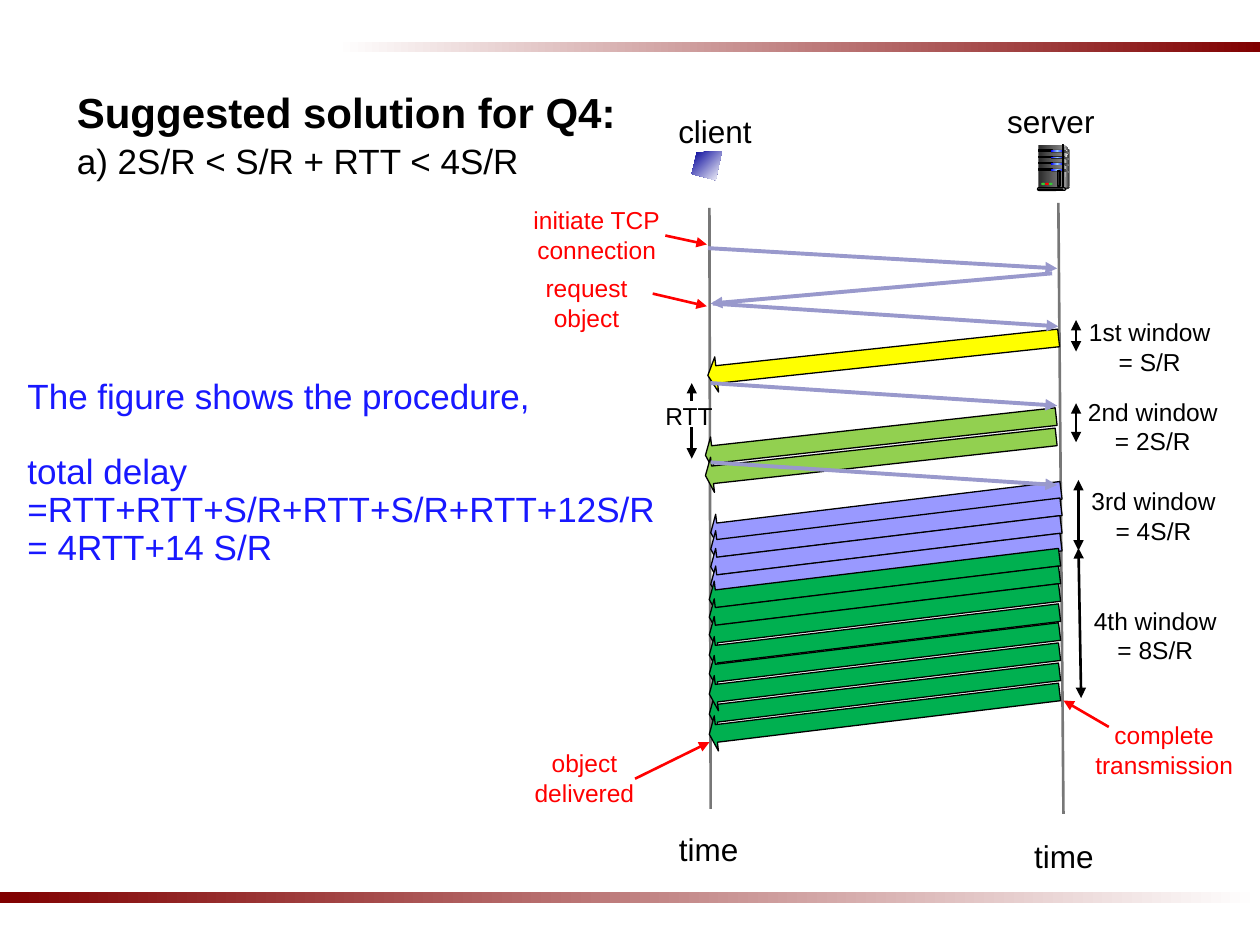
from copy import deepcopy

from lxml.etree import SubElement
from pptx import Presentation
from pptx.dml.color import RGBColor
from pptx.enum.shapes import MSO_CONNECTOR, MSO_SHAPE
from pptx.enum.text import MSO_ANCHOR, MSO_AUTO_SIZE, PP_ALIGN
from pptx.oxml.ns import qn
from pptx.util import Pt

BLACK, RED, LAVENDER = "000000", "FF0000", "9999CC"
STEEL = ["292929", "808080"]
RECT, ROUND, OVAL = MSO_SHAPE.RECTANGLE, MSO_SHAPE.ROUNDED_RECTANGLE, MSO_SHAPE.OVAL


def rgb(value):
    return RGBColor.from_string(value)


def paint(sp, fill, line=None, angle=0):
    """Fill with one hex colour, or with a gradient over a list of them."""
    sp.shadow.inherit = False
    if isinstance(fill, str):
        sp.fill.solid()
        sp.fill.fore_color.rgb = rgb(fill)
    else:
        sp.fill.gradient()
        stops = sp._element.spPr.find(qn("a:gradFill")).find(qn("a:gsLst"))
        while len(stops) < len(fill):
            stops.append(deepcopy(stops[0]))
        for i, (stop, color) in enumerate(zip(sp.fill.gradient_stops, fill)):
            stop.position = i / (len(fill) - 1)
            stop.color.rgb = rgb(color)
        sp.fill.gradient_angle = angle
    if line:
        sp.line.color.rgb = rgb(line)
        sp.line.width = Pt(0.75)
    else:
        sp.line.fill.background()


def shape(s, kind, x, y, w, h, fill, line=None):
    sp = s.shapes.add_shape(kind, Pt(x), Pt(y), Pt(w), Pt(h))
    paint(sp, fill, line)
    if kind == ROUND:
        sp.adjustments[0] = 0.5
    return sp


def outline(s, x, y, points, fill, angle=0):
    points = [(Pt(x + px), Pt(y + py)) for px, py in points]
    fb = s.shapes.build_freeform(*points[0])
    fb.add_line_segments(points[1:], close=True)
    paint(fb.convert_to_shape(), fill, angle=angle)


def line(s, x1, y1, x2, y2, color, width=1.5, head=False, tail=True):
    cn = s.shapes.add_connector(MSO_CONNECTOR.STRAIGHT, Pt(x1), Pt(y1), Pt(x2), Pt(y2))
    cn.line.color.rgb = rgb(color)
    cn.line.width = Pt(width)
    ln = cn.line._get_or_add_ln()
    for tag, wanted in (("a:headEnd", head), ("a:tailEnd", tail)):
        if wanted:
            SubElement(ln, qn(tag), type="triangle")
    SubElement(cn._element.spPr, qn("a:effectLst"))


def add_text(p, text, size, color=BLACK, bold=False, align=PP_ALIGN.LEFT,
             spacing=None, before=0, hanging=0):
    if hanging:
        pPr = p._p.get_or_add_pPr()
        pPr.set("marL", str(Pt(hanging)))
        pPr.set("indent", str(-Pt(hanging)))
    p.alignment = align
    p.line_spacing = spacing
    p.space_before = Pt(before)
    r = p.add_run()
    r.text = text
    r.font.name, r.font.size, r.font.bold = "Arial", Pt(size), bold
    r.font.color.rgb = rgb(color)


def fill_frame(tf, rows, **fmt):
    """Write rows of (text, own format), one paragraph each."""
    for i, (text, own) in enumerate(rows):
        p = tf.add_paragraph() if i else tf.paragraphs[0]
        add_text(p, text, **{**fmt, **own})


def label(s, cx, y, text, size=14, color=BLACK):
    rows = [(t, {}) for t in text.split("\n")]
    w, h = 100, 8 + size * 1.17 * len(rows)
    tf = s.shapes.add_textbox(Pt(cx - w / 2), Pt(y), Pt(w), Pt(h)).text_frame
    tf.word_wrap = False
    fill_frame(tf, rows, size=size, color=color, align=PP_ALIGN.CENTER)


def heading(s, x, y, w, h):
    sp = s.shapes.title
    sp.left, sp.top, sp.width, sp.height = Pt(x), Pt(y), Pt(w), Pt(h)
    tf = sp.text_frame
    tf.word_wrap, tf.auto_size = True, MSO_AUTO_SIZE.NONE
    tf.vertical_anchor = MSO_ANCHOR.TOP
    fill_frame(tf, [("Suggested solution for Q4:", dict(size=24, bold=True)),
                    ("a) 2S/R < S/R + RTT < 4S/R", dict(size=20, before=4))],
               spacing=0.9, hanging=48)


def explanation(s, x, y, w, h):
    tf = s.shapes.add_textbox(Pt(x), Pt(y), Pt(w), Pt(h)).text_frame
    tf.word_wrap = True
    fill_frame(tf, [("The figure shows the procedure,", {}),
                    ("total delay", dict(before=21.5)),
                    ("=RTT+RTT+S/R+RTT+S/R+RTT+12S/R", {}),
                    ("= 4RTT+14 S/R", {})],
               size=20, color="1818FF", spacing=0.9, hanging=48)


def server_icon(s, x, y):
    # Case
    outline(s, x, y, [(14.7, 0), (17.6, 2.7), (17.6, 23.6), (14, 25)], ["DDDDDD", "333333"])
    shape(s, RECT, x, y, 13.7, 25, STEEL)
    outline(s, x, y, [(14.7, 1.4), (16.6, 3.6), (14.7, 24.5)], ["808080", "F8F8F8"])
    # Drive bays
    for bay in range(4):
        by = y + 2.9 + 3.6 * bay
        shape(s, RECT, x + 0.3, by, 8, 0.7, BLACK, BLACK)
        shape(s, ROUND, x + 7.2, by, 8, 1.4, BLACK)
        shape(s, ROUND, x + 7.4, by + 0.2, 7, 1, ["0000FF", "99CCFF", "0000FF"])
        outline(s, x, by, [(14, 0), (17.6, 1.4), (17.6, 2.2), (14, 1)], STEEL)
    # Edge, foot and base
    shape(s, RECT, x + 13.7, y, 0.7, 25, ["333333", "DDDDDD", "333333"], BLACK)
    shape(s, OVAL, x + 17.3, y + 23.8, 0.7, 0.7, "333333")
    outline(s, x, y, [(14.4, 25.2), (14.4, 26), (17.5, 25), (17.5, 23.8)], "333333")
    shape(s, ROUND, x - 0.4, y + 24.5, 16, 1.5, "DDDDDD", BLACK)
    shape(s, ROUND, x + 0.3, y + 25.2, 13.7, 0.7, [BLACK, "00007D"], BLACK)
    # Lamps and slot
    for dx, color in ((1.7, "33CC33"), (3.9, RED), (6, "33CC33")):
        shape(s, OVAL, x + dx, y + 21.6, 2.2, 1.4, color)
    shape(s, RECT, x + 11, y + 15, 1.4, 8.6, "292929", BLACK)


def timing_diagram(s, x, y):
    """x is the client's time line, y the top of the diagram."""
    def arrows(ends, color, **fmt):
        for x1, y1, x2, y2 in ends:
            line(s, x + x1, y + y1, x + x2, y + y2, color, **fmt)

    # Time lines and hosts
    arrows([(0.4, 64.8, 1.1, 408.2), (199.8, 61.9, 202.7, 411.1)], "777777", tail=False)
    outline(s, x, y, [(7.6, 32.4), (-6.8, 33.1), (-9.7, 45.4), (4, 49)],
            ["000099", "FFFFFF"], angle=315)
    server_icon(s, x + 188.3, y + 28.8)

    # Data segments of each window
    for dx, color, turn, head, tops in (
            (-1.1, "FFFF00", 173.9, 0.25, [139.7]),
            (-2.5, "92D050", 173.7, 0.2, [185, 196.6]),
            (0.4, "9999FF", 173.1, 0.2, [228.2, 237.6, 247.7, 257.8]),
            (-0.4, "00B050", 173.1, 0.2,
             [266.4, 276.5, 286.6, 298.1, 308.9, 331.9, 320.4, 343.4])):
        for top in tops:
            sp = shape(s, MSO_SHAPE.RIGHT_ARROW, x + dx, y + top, 201.6, 20.2, color, BLACK)
            sp.adjustments[1] = head
            sp.rotation = turn

    # Requests and acknowledgements
    arrows([(-0.4, 87.8, 199.1, 99.4), (2.5, 119.5, 199.8, 132.5),
            (1.1, 164.9, 199.1, 177.8), (1.1, 210.2, 199.1, 223.2),
            (196.2, 102.2, 1.1, 119.5)], LAVENDER, width=2.25)

    # Time spans
    arrows([(-9.7, 175, -9.7, 164.9), (-9.7, 190.1, -9.7, 208.1)], BLACK)
    arrows([(209.9, 128.9, 209.9, 146.9), (209.9, 176.4, 209.9, 198.7),
            (211.3, 220.3, 211.3, 260.6), (211.3, 259.2, 212.8, 344.9)], BLACK, head=True)

    # Event pointers
    arrows([(228.6, 361.4, 202.7, 346.3), (-24.8, 80.6, -1.1, 85.7),
            (-32, 113.8, -1.1, 121), (-42.1, 391, 0.4, 370.1)], RED)

    # Labels, grouped by format
    for size, color, items in (
            (18, BLACK, [(3.6, 6.5, "client"), (195.5, 0.7, "server"),
                         (0, 416.9, "time"), (203, 420.5, "time")]),
            (14, RED, [(-64, 59.8, "initiate TCP\nconnection"),
                       (-69.8, 98.6, "request\nobject"),
                       (-71, 370, "object\ndelivered"),
                       (260.3, 354.2, "complete\ntransmission")]),
            (14, BLACK, [(-11.2, 171.4, "RTT"),
                         (252, 123.8, "1st window\n= S/R"),
                         (253.8, 169.2, "2nd window\n= 2S/R"),
                         (254.2, 220.3, "3rd window\n= 4S/R"),
                         (255.2, 288.7, "4th window\n= 8S/R")])):
        for cx, top, text in items:
            label(s, x + cx, y + top, text, size, color)


def main():
    prs = Presentation()
    prs.slide_width, prs.slide_height = Pt(720), Pt(540)
    s = prs.slides.add_slide(prs.slide_layouts[5])
    # Border bars
    shape(s, RECT, 192, 24, 528, 6, ["FFFFFF", "800000"])
    shape(s, RECT, 0, 510, 720, 6, ["800000", "FFFFFF"])
    heading(s, 36.7, 49, 635, 70)
    timing_diagram(s, 405, 54)
    explanation(s, 8.6, 213, 373, 117)
    prs.save("out.pptx")


if __name__ == "__main__":
    main()
